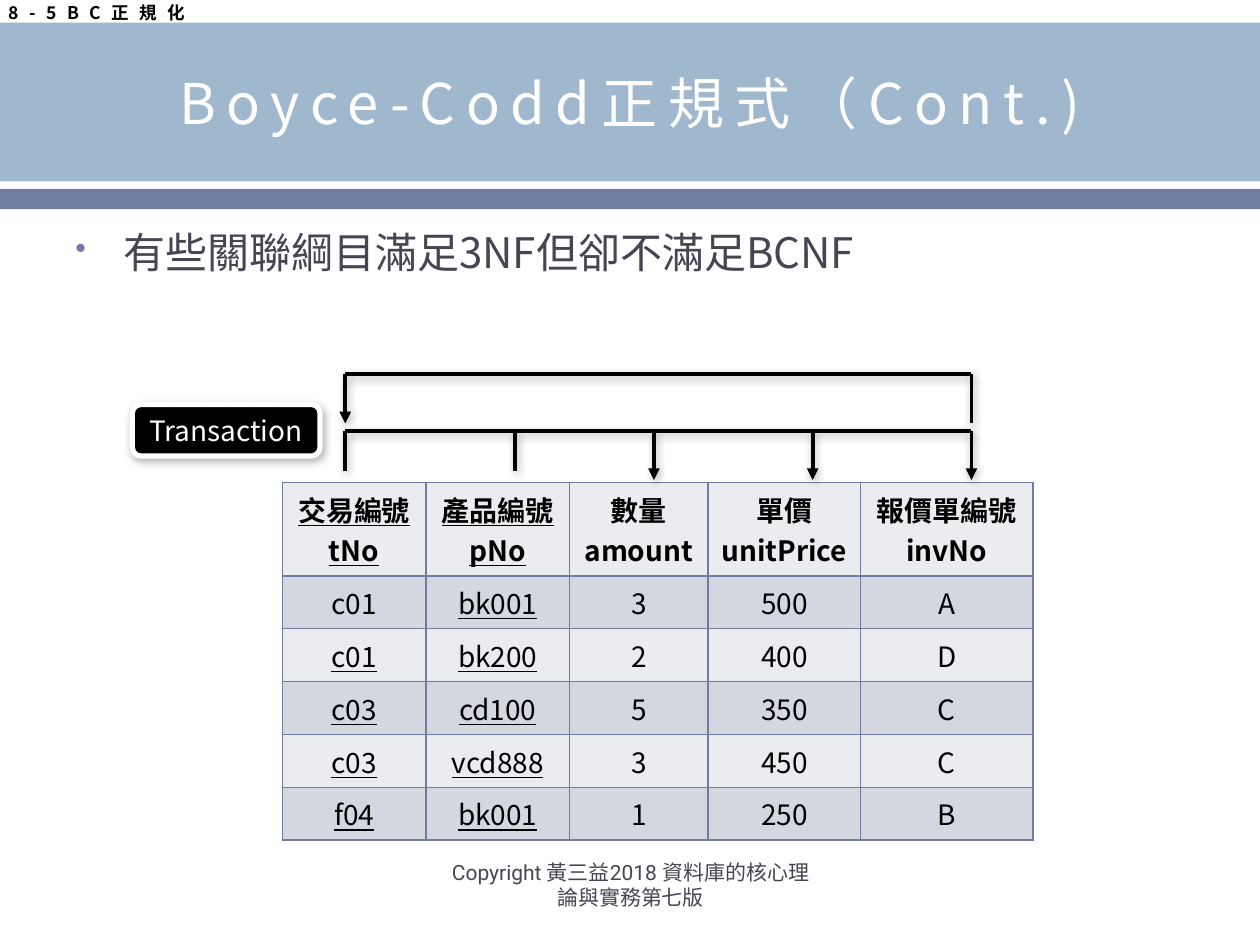
from lxml import etree
from pptx import Presentation
from pptx.dml.color import RGBColor
from pptx.enum.shapes import MSO_CONNECTOR, MSO_SHAPE
from pptx.enum.text import MSO_ANCHOR, PP_ALIGN
from pptx.oxml import parse_xml
from pptx.oxml.ns import qn
from pptx.util import Inches, Pt

STRAIGHT = MSO_CONNECTOR.STRAIGHT
RECT, ROUNDED = MSO_SHAPE.RECTANGLE, MSO_SHAPE.ROUNDED_RECTANGLE
TOP, MIDDLE = MSO_ANCHOR.TOP, MSO_ANCHOR.MIDDLE
LEFT, CENTER = PP_ALIGN.LEFT, PP_ALIGN.CENTER

# Content
SECTION = "8-5BC正規化"
TITLE = "Boyce-Codd正規式（Cont.)"
POINT = "有些關聯綱目滿足3NF但卻不滿足BCNF"
RELATION = "Transaction"
FOOTER = "Copyright 黃三益2018 資料庫的核心理論與實務第七版"
HEADERS = ["交易編號\ntNo", "產品編號pNo", "數量\namount", "單價\nunitPrice", "報價單編號\ninvNo"]
RECORDS = [
    ["c01", "bk001", "3", "500", "A"],
    ["c01", "bk200", "2", "400", "D"],
    ["c03", "cd100", "5", "350", "C"],
    ["c03", "vcd888", "3", "450", "C"],
    ["f04", "bk001", "1", "250", "B"],
]
KEY_COLUMNS = 2
PLAIN_KEYS = {(1, 0)}  # key cells without underline

COLORS = {
    "banner": "9FB8CD", "accent": "727CA3", "body": "464653", "white": "FFFFFF",
    "black": "000000", "light": "EBECF0", "dark": "D5D7E0",
}
FONT, FOOTER_FONT = "Noto Sans CJK SC", "Roboto"

# Grid: 100 columns by 75 rows of square units
WIDTH, HEIGHT = Inches(10), Inches(7.5)
UNIT = WIDTH / 100
TABLE_AT = (22.4, 38.3)
COLUMN_WIDTHS = [11.4, 11.4, 11, 12.1, 13.7]
HEADER_HEIGHT, RECORD_HEIGHT = 7.4, 4.2
BRANCHES = [27.4, 40.9, 51.9, 64.5, 77.1]
BUS_Y, BACK_Y = 34.2, 29.7
STUB, ARROW = 3.2, 3.9

A = 'xmlns:a="http://schemas.openxmlformats.org/drawingml/2006/main"'
SHADOW = (f'<a:effectLst {A}><a:outerShdw blurRad="{Pt(5)}" dist="{Pt(2)}" dir="3600000" '
          'algn="tl" rotWithShape="0"><a:srgbClr val="000000"><a:alpha val="30000"/>'
          '</a:srgbClr></a:outerShdw></a:effectLst>')


def grid(*units):
    return [round(u * UNIT) for u in units]


def color(name):
    return RGBColor.from_string(COLORS[name])


def write(frame, text, *, size, ink="black", font=FONT, bold=False, underline=False,
          align=CENTER, spacing=0, bullet=False):
    for i, line in enumerate(text.split("\n")):
        paragraph = frame.paragraphs[0] if i == 0 else frame.add_paragraph()
        paragraph.alignment = align
        if bullet:
            props = paragraph._p.get_or_add_pPr()
            props.set("marL", str(Inches(0.38)))
            props.set("indent", str(-Inches(0.38)))
            for xml in (f'<a:buClr {A}><a:srgbClr val="{COLORS["accent"]}"/></a:buClr>',
                        f'<a:buSzPct {A} val="75000"/>', f'<a:buChar {A} char="•"/>'):
                props.append(parse_xml(xml))
        run = paragraph.add_run()
        run.text = line
        run.font.size, run.font.name = Pt(size), font
        run.font.bold, run.font.underline = bold, underline
        run.font.color.rgb = color(ink)
        props = run._r.get_or_add_rPr()
        etree.SubElement(props, qn("a:ea")).set("typeface", FONT)
        if spacing:
            props.set("spc", str(spacing * 100))


def add_text(slide, at, text, *, anchor=TOP, wrap=True, **style):
    frame = slide.shapes.add_textbox(*grid(*at)).text_frame
    frame.word_wrap, frame.vertical_anchor = wrap, anchor
    write(frame, text, **style)


def add_block(slide, at, fill, kind=RECT):
    block = slide.shapes.add_shape(kind, *grid(*at))
    block.fill.solid()
    block.fill.fore_color.rgb = color(fill)
    block.line.fill.background()
    block.shadow.inherit = False
    return block


def add_line(slide, start, end, arrow=False):
    line = slide.shapes.add_connector(STRAIGHT, *grid(*start, *end))
    line.line.width = Pt(2.22)
    line.line.color.rgb = color("black")
    if arrow:
        etree.SubElement(line.line._get_or_add_ln(), qn("a:tailEnd")).set("type", "triangle")
    line._element.spPr.append(parse_xml(SHADOW))


def style_cell(cell, fill):
    props = cell._tc.get_or_add_tcPr()
    for side in ("lnL", "lnR", "lnT", "lnB"):
        props.append(parse_xml(
            f'<a:{side} {A} w="{Pt(1)}"><a:solidFill><a:srgbClr val="{COLORS["accent"]}"/>'
            f'</a:solidFill></a:{side}>'))
    cell.fill.solid()
    cell.fill.fore_color.rgb = color(fill)


def add_records(slide):
    rows = [HEADERS] + RECORDS
    heights = [HEADER_HEIGHT] + [RECORD_HEIGHT] * len(RECORDS)
    table = slide.shapes.add_table(
        len(rows), len(HEADERS), *grid(*TABLE_AT, sum(COLUMN_WIDTHS), sum(heights))).table
    for column, width in zip(table.columns, grid(*COLUMN_WIDTHS)):
        column.width = width
    for row, height in zip(table.rows, grid(*heights)):
        row.height = height
    for r, row in enumerate(rows):
        for c, value in enumerate(row):
            cell = table.cell(r, c)
            style_cell(cell, "dark" if r % 2 else "light")
            write(cell.text_frame, value, size=16, bold=r == 0,
                  underline=c < KEY_COLUMNS and (r, c) not in PLAIN_KEYS)


def add_dependencies(slide):
    first, last = BRANCHES[0], BRANCHES[-1]
    # Key columns determine the others
    add_line(slide, (first, BUS_Y), (last, BUS_Y))
    for i, x in enumerate(BRANCHES):
        dependent = i >= KEY_COLUMNS
        add_line(slide, (x, BUS_Y), (x, BUS_Y + (ARROW if dependent else STUB)), dependent)
    # The last column determines the first
    add_line(slide, (first, BACK_Y), (last, BACK_Y))
    for x in (first, last):
        add_line(slide, (x, BACK_Y), (x, BACK_Y + ARROW), x == first)


def add_relation(slide):
    label = add_block(slide, (10.5, 32.1, 14.9, 4.1), "black", ROUNDED)
    label.line.color.rgb = color("white")
    label.line.width = Pt(3)
    props = label._element.spPr
    props.replace(props.find(qn("a:effectLst")), parse_xml(SHADOW))
    label.text_frame.vertical_anchor = MIDDLE
    label.text_frame.word_wrap = False
    write(label.text_frame, RELATION, size=16, ink="white")


def main():
    deck = Presentation()
    deck.slide_width, deck.slide_height = WIDTH, HEIGHT
    slide = deck.slides.add_slide(deck.slide_layouts[6])
    # Banner and heading
    add_block(slide, (0, 1.8, 100, 12.6), "banner")
    add_block(slide, (0, 15, 100, 1.6), "accent")
    add_text(slide, (5, 2, 90, 12.2), TITLE, size=32, ink="white", spacing=6, anchor=MIDDLE)
    add_text(slide, (5, 17.5, 90, 49.5), POINT, size=24, ink="body", align=LEFT, bullet=True)
    # Relation with its dependencies
    add_records(slide)
    add_dependencies(slide)
    add_relation(slide)
    # Section mark and footer
    add_text(slide, (-0.3, -0.3, 17.1, 2.7), SECTION, size=10, bold=True, spacing=6,
             align=LEFT, wrap=False)
    add_text(slide, (34.2, 68.2, 31.7, 4), FOOTER, size=12, ink="body", font=FOOTER_FONT,
             anchor=MIDDLE)
    deck.save("out.pptx")


if __name__ == "__main__":
    main()
